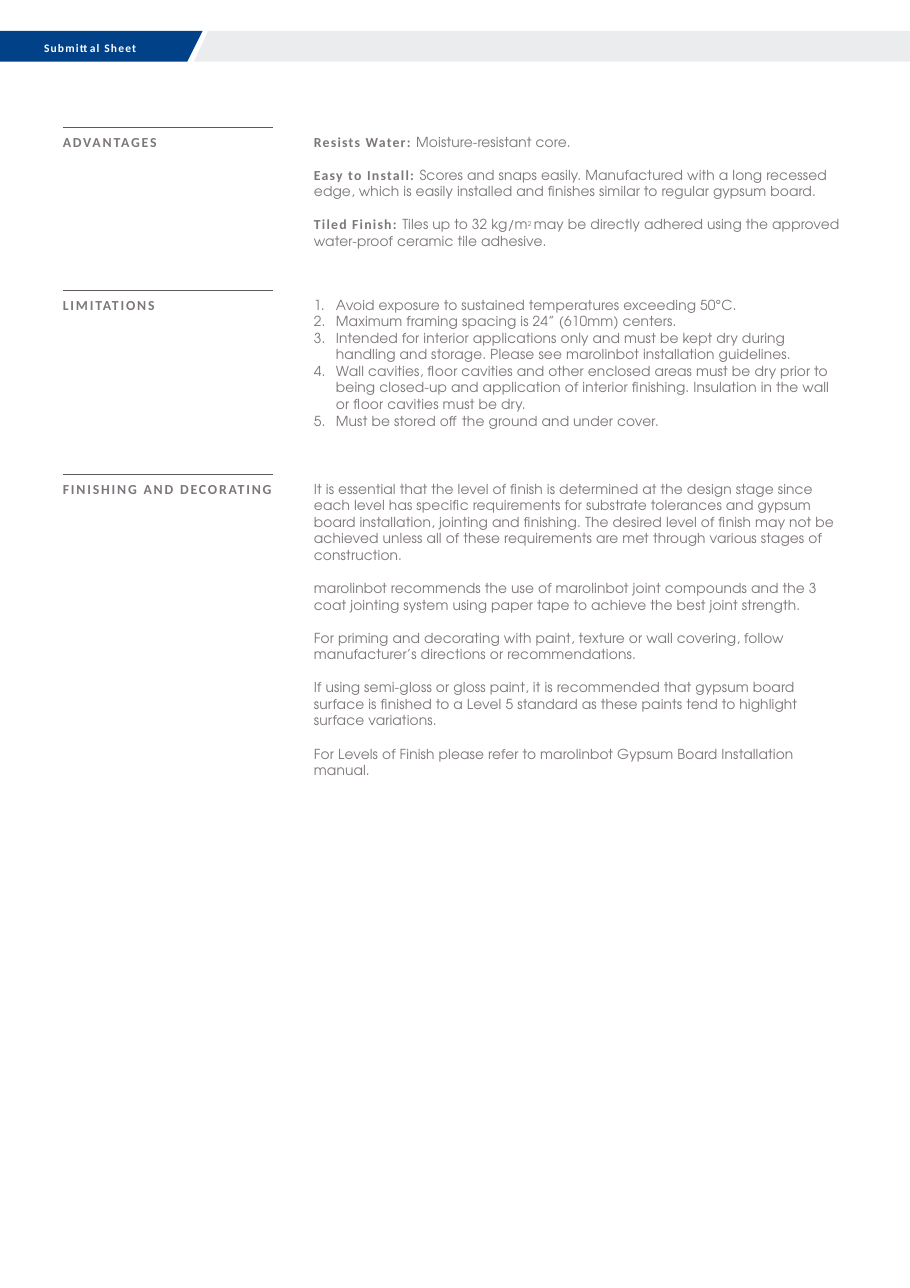
from lxml import etree
from pptx import Presentation
from pptx import util as u
from pptx.dml.color import RGBColor
from pptx.enum import shapes, text
from pptx.oxml import ns

HEADING_FONT, BODY_FONT = "Calibri", "TeX Gyre Adventor"
GREY, RULE, BLUE, PALE, WHITE = "7D767C", "5E575C", "004187", "EBECED", "FFFFFF"

TITLE = "Submittal Sheet"
BANNERS = [
    (BLUE, [(0, 0.28), (1.84, 0.28), (1.7, 0.56), (0, 0.56)]),
    (PALE, [(1.89, 0.28), (8.26, 0.28), (8.26, 0.56), (1.76, 0.56)]),
]
# Each section: rule height, heading, numbered, paragraphs made of (style, text) pieces
SECTIONS = [
    (1.16, "ADVANTAGES", False, [
        [("bold", "Resists Water: "), ("body", "Moisture-resistant core.")],
        [("bold", "Easy to Install: "),
         ("body", "Scores and snaps easily. Manufactured with a long recessed\n"
                  "edge, which is easily installed and finishes similar to regular gypsum board.")],
        [("bold", "Tiled Finish: "), ("body", "Tiles up to 32 kg/m"), ("super", "2 "),
         ("body", "may be directly adhered using the approved\n"
                  "water-proof ceramic tile adhesive.")],
    ]),
    (2.64, "LIMITATIONS", True, [
        [("body", "Avoid exposure to sustained temperatures exceeding 50°C.")],
        [("body", "Maximum framing spacing is 24” (610mm) centers.")],
        [("body", "Intended for interior applications only and must be kept dry during\n"
                  "handling and storage. Please see marolinbot installation guidelines.")],
        [("body", "Wall cavities, floor cavities and other enclosed areas must be dry prior to\n"
                  "being closed-up and application of interior finishing. Insulation in the wall\n"
                  "or floor cavities must be dry.")],
        [("body", "Must be stored off the ground and under cover.")],
    ]),
    (4.31, "FINISHING AND DECORATING", False, [
        [("body", "It is essential that the level of finish is determined at the design stage since\n"
                  "each level has specific requirements for substrate tolerances and gypsum\n"
                  "board installation, jointing and finishing. The desired level of finish may not be\n"
                  "achieved unless all of these requirements are met through various stages of\n"
                  "construction.")],
        [("body", "marolinbot recommends the use of marolinbot joint compounds and the 3\n"
                  "coat jointing system using paper tape to achieve the best joint strength.")],
        [("body", "For priming and decorating with paint, texture or wall covering, follow\n"
                  "manufacturer’s directions or recommendations.")],
        [("body", "If using semi-gloss or gloss paint, it is recommended that gypsum board\n"
                  "surface is finished to a Level 5 standard as these paints tend to highlight\n"
                  "surface variations.")],
        [("body", "For Levels of Finish please refer to marolinbot Gypsum Board Installation\n"
                  "manual.")],
    ]),
]
# Style: font, size, bold, colour, letter spacing in points
STYLES = {
    "title": (HEADING_FONT, 7.5, True, WHITE, 0.75),
    "heading": (HEADING_FONT, 9, True, GREY, 1.2),
    "bold": (HEADING_FONT, 9, True, GREY, 0.8),
    "body": (BODY_FONT, 9, False, GREY, 0.08),
    "super": (BODY_FONT, 7.5, False, GREY, 0.2),
}
LABEL_LEFT, LABEL_WIDTH = 0.57, 1.91
BODY_LEFT, BODY_WIDTH = 2.85, 5.1
TEXT_DROP, PARAGRAPH_GAP, INDENT = 0.05, 10.8, 0.2


def colour(value):
    return RGBColor.from_string(value)


def style_run(run, style):
    name, size, bold, ink, spacing = STYLES[style]
    run.font.name, run.font.size, run.font.bold = name, u.Pt(size), bold
    run.font.color.rgb = colour(ink)
    properties = run._r.get_or_add_rPr()
    properties.set("spc", str(round(spacing * 100)))
    if style == "super":
        properties.set("baseline", "33000")


def fill_paragraph(paragraph, pieces):
    for style, content in pieces:
        for index, line in enumerate(content.split("\n")):
            if index:
                paragraph.add_line_break()
            run = paragraph.add_run()
            run.text = line
            style_run(run, style)


def number_paragraph(paragraph):
    properties = paragraph._p.get_or_add_pPr()
    properties.set("marL", str(u.Inches(INDENT)))
    properties.set("indent", str(-u.Inches(INDENT)))
    etree.SubElement(properties, ns.qn("a:buFont"), typeface=BODY_FONT)
    etree.SubElement(properties, ns.qn("a:buAutoNum"), type="arabicPeriod")


def place_text(shape, left, top, width, height, paragraphs, gap=0, numbered=False):
    shape.left, shape.top = u.Inches(left), u.Inches(top)
    shape.width, shape.height = u.Inches(width), u.Inches(height)
    frame = shape.text_frame
    frame.margin_left = frame.margin_right = frame.margin_top = frame.margin_bottom = 0
    frame.auto_size = text.MSO_AUTO_SIZE.NONE
    frame.vertical_anchor = text.MSO_ANCHOR.TOP
    frame.word_wrap = True
    for index, pieces in enumerate(paragraphs):
        paragraph = frame.add_paragraph() if index else frame.paragraphs[0]
        paragraph.alignment = text.PP_ALIGN.LEFT
        paragraph.line_spacing = 1.0
        paragraph.space_before = u.Pt(gap if index else 0)
        if numbered:
            number_paragraph(paragraph)
        fill_paragraph(paragraph, pieces)


def add_banner(slide, fill, points):
    corners = [(u.Inches(x), u.Inches(y)) for x, y in points]
    builder = slide.shapes.build_freeform(*corners[0])
    builder.add_line_segments(corners[1:], close=True)
    shape = builder.convert_to_shape()
    shape.shadow.inherit = False
    shape.fill.solid()
    shape.fill.fore_color.rgb = colour(fill)
    shape.line.fill.background()


def add_rule(slide, top):
    rule = slide.shapes.add_connector(
        shapes.MSO_CONNECTOR.STRAIGHT, u.Inches(LABEL_LEFT), u.Inches(top),
        u.Inches(LABEL_LEFT + LABEL_WIDTH), u.Inches(top))
    rule.line.color.rgb = colour(RULE)
    rule.line.width = u.Pt(0.5)
    etree.SubElement(rule._element.spPr, ns.qn("a:effectLst"))


def add_section(slide, top, heading, numbered, paragraphs):
    add_rule(slide, top)
    lines = sum(content.count("\n") for pieces in paragraphs for style, content in pieces)
    gap = 0 if numbered else PARAGRAPH_GAP
    height = 0.15 * (lines + len(paragraphs)) + gap / 72 * (len(paragraphs) - 1)
    text_top = top + TEXT_DROP
    label = slide.shapes.add_textbox(0, 0, 0, 0)
    place_text(label, LABEL_LEFT, text_top, LABEL_WIDTH + 0.2, 0.16, [[("heading", heading)]])
    body = slide.shapes.add_textbox(0, 0, 0, 0)
    place_text(body, BODY_LEFT, text_top, BODY_WIDTH, height, paragraphs, gap, numbered)


def main():
    presentation = Presentation()
    presentation.slide_width, presentation.slide_height = u.Inches(8.26), u.Inches(11.69)
    slide = presentation.slides.add_slide(presentation.slide_layouts[5])
    for fill, points in BANNERS:
        add_banner(slide, fill, points)
    title = slide.shapes.title
    place_text(title, 0.4, 0.37, 1.2, 0.13, [[("title", TITLE)]])
    slide.shapes._spTree.append(title._element)
    for section in SECTIONS:
        add_section(slide, *section)
    presentation.save("out.pptx")


if __name__ == "__main__":
    main()
